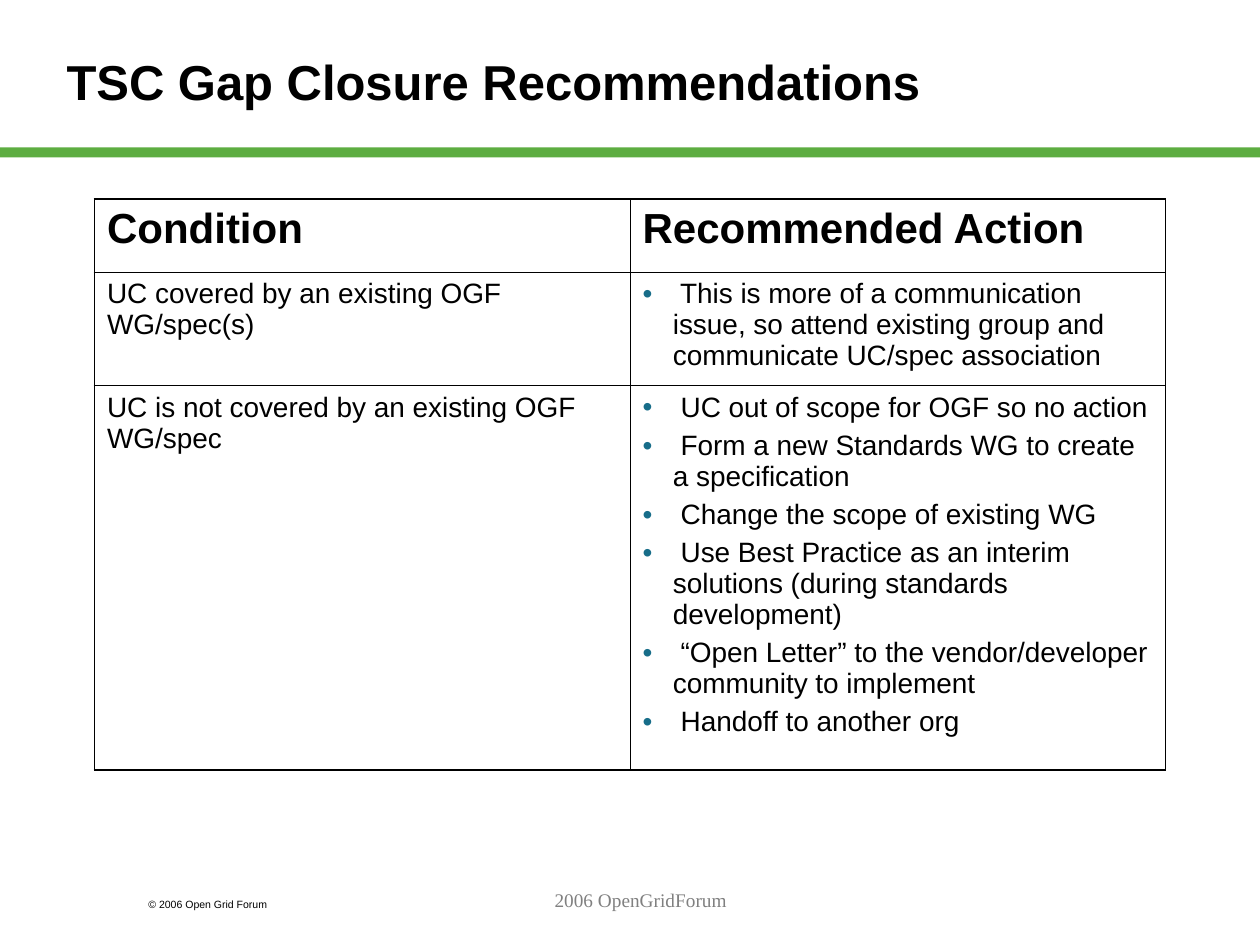
import lxml.etree
import pptx
import pptx.dml.color
import pptx.enum.shapes
import pptx.enum.text
import pptx.oxml.ns
import pptx.util

INCH = pptx.util.Inches
ALIGN = pptx.enum.text.PP_ALIGN
ANCHOR = pptx.enum.text.MSO_ANCHOR
WIDTH, HEIGHT = 10, 7.5
INK, GREEN, TEAL, GREY = "000000", "5DAD41", "176D89", "808080"
OUTER, INNER = 1.08, 0.45
HANG = 0.24

TITLE = "TSC Gap Closure Recommendations"
COPYRIGHT = "© 2006 Open Grid Forum"
FOOTER = "2006 OpenGridForum"
ROWS = [
    (["Condition"], ["Recommended Action"]),
    (["UC covered by an existing OGF WG/spec(s)"],
     [" This is more of a communication issue, so attend existing group "
      "and communicate UC/spec association"]),
    (["UC is not covered by an existing OGF WG/spec"],
     [" UC out of scope for OGF so no action",
      " Form a new Standards WG to create a specification",
      " Change the scope of existing WG",
      " Use Best Practice as an interim solutions (during standards development)",
      " “Open Letter” to the vendor/developer community to implement",
      " Handoff to another org"]),
]
ROW_HEIGHTS = [0.58, 0.9, 3.05]
TABLE_TOP, TABLE_WIDTH = 1.58, 0.85 * WIDTH

HEADING = {"size": 24, "bold": True}
BODY = {"size": 16}
TEXTS = [
    (TITLE, (0.43, 0.13, 7.24, 1.02), {"size": 28, "bold": True}, ALIGN.LEFT, ANCHOR.MIDDLE),
    (COPYRIGHT, (1.08, 7.08, 1.5, 0.2), {"size": 6}, ALIGN.LEFT, ANCHOR.TOP),
    (FOOTER, (2.17, 7, 5.83, 0.5),
     {"size": 11, "name": "Times New Roman", "color": GREY}, ALIGN.CENTER, ANCHOR.TOP),
]


def rgb(value):
    return pptx.dml.color.RGBColor.from_string(value)


def add_tag(parent, tag, **attributes):
    return lxml.etree.SubElement(parent, pptx.oxml.ns.qn(tag), attributes)


def set_font(font, look):
    values = {"name": "Arial", "bold": False, **look}
    font.color.rgb = rgb(values.pop("color", INK))
    values["size"] = pptx.util.Pt(values["size"])
    for key, value in values.items():
        setattr(font, key, value)


def add_bullet(para):
    """Give the paragraph a teal dot and a hanging indent."""
    props = para._p.get_or_add_pPr()
    props.set("marL", str(INCH(HANG)))
    props.set("indent", str(-INCH(HANG)))
    add_tag(add_tag(props, "a:buClr"), "a:srgbClr", val=TEAL)
    add_tag(props, "a:buFont", typeface="Arial")
    add_tag(props, "a:buChar", char="•")


def write(frame, lines, look, bulleted=False, align=ALIGN.LEFT):
    for index, line in enumerate(lines):
        para = frame.add_paragraph() if index else frame.paragraphs[0]
        if index:
            para.space_before = pptx.util.Pt(4)
        para.alignment = align
        if bulleted:
            add_bullet(para)
        span = para.add_run()
        span.text = line
        set_font(span.font, look)


def set_borders(cell, widths):
    props = cell._tc.get_or_add_tcPr()
    for index, (side, width) in enumerate(widths.items()):
        line = add_tag(props, f"a:ln{side}", w=str(pptx.util.Pt(width)))
        add_tag(add_tag(line, "a:solidFill"), "a:srgbClr", val=INK)
        props.insert(index, line)


def add_band(page):
    band = page.shapes.add_shape(pptx.enum.shapes.MSO_SHAPE.RECTANGLE,
                                 0, INCH(1.17), INCH(WIDTH), INCH(0.08))
    band.shadow.inherit = False
    band.fill.solid()
    band.fill.fore_color.rgb = rgb(GREEN)
    band.line.fill.background()


def add_text(page, text, place, look, align, anchor):
    box = page.shapes.add_textbox(*map(INCH, place))
    box.text_frame.word_wrap = True
    box.text_frame.vertical_anchor = anchor
    write(box.text_frame, [text], look, align=align)


def add_actions(page):
    last_row, last_column = len(ROWS) - 1, len(ROWS[0]) - 1
    place = ((WIDTH - TABLE_WIDTH) / 2, TABLE_TOP, TABLE_WIDTH, sum(ROW_HEIGHTS))
    table = page.shapes.add_table(len(ROWS), len(ROWS[0]), *map(INCH, place)).table
    table.first_row = table.horz_banding = False
    for r, (row, height) in enumerate(zip(ROWS, ROW_HEIGHTS)):
        table.rows[r].height = INCH(height)
        for c, lines in enumerate(row):
            cell = table.cell(r, c)
            cell.fill.background()
            set_borders(cell, {
                "L": INNER if c else OUTER,
                "R": OUTER if c == last_column else INNER,
                "T": INNER if r else OUTER,
                "B": OUTER if r == last_row else INNER,
            })
            write(cell.text_frame, lines, BODY if r else HEADING, bulleted=r > 0 and c > 0)


def main():
    deck = pptx.Presentation()
    deck.slide_width, deck.slide_height = INCH(WIDTH), INCH(HEIGHT)
    page = deck.slides.add_slide(deck.slide_layouts[6])
    add_band(page)
    for entry in TEXTS:
        add_text(page, *entry)
    add_actions(page)
    deck.save("out.pptx")


if __name__ == "__main__":
    main()
